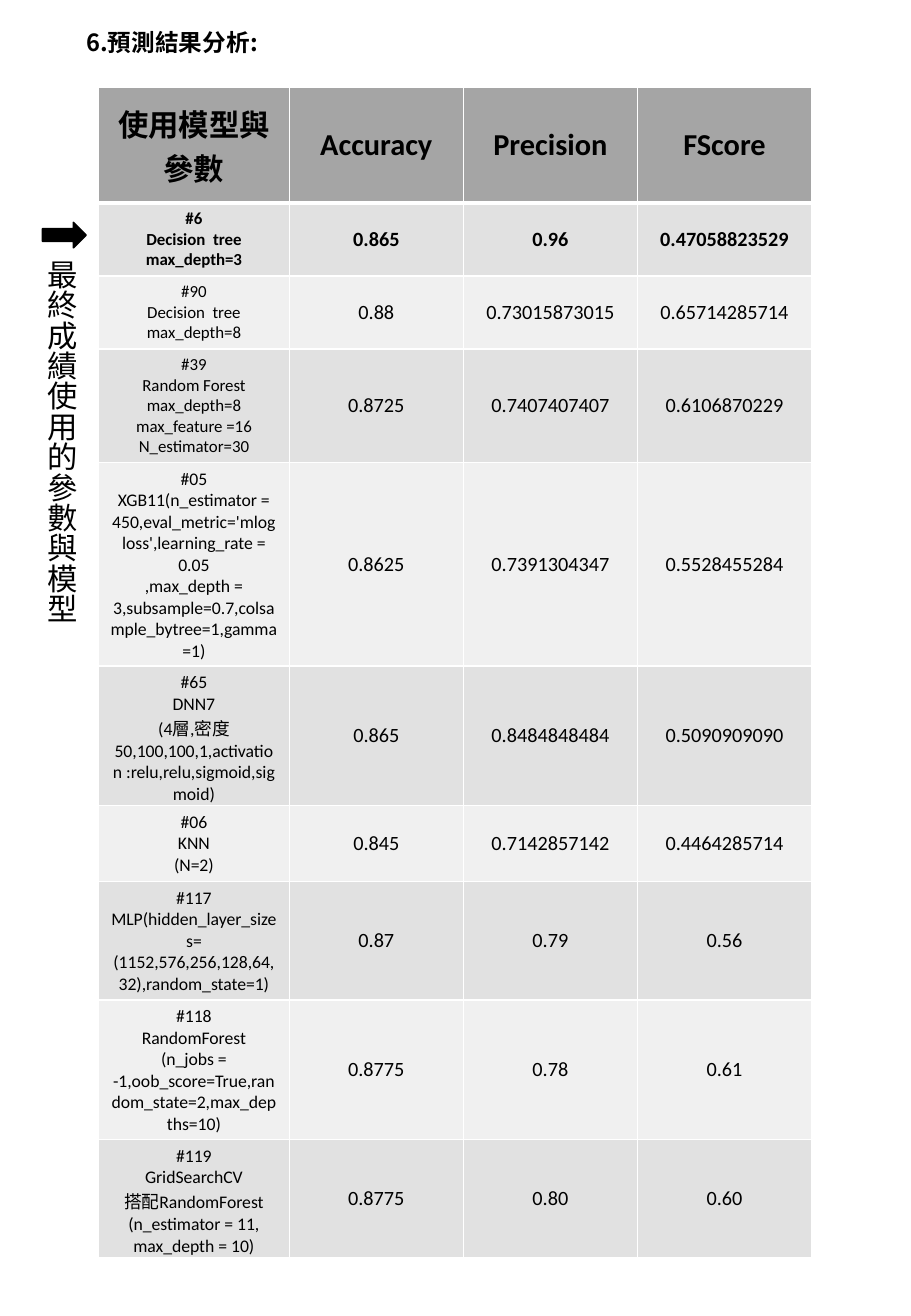
from lxml.etree import SubElement
from pptx import Presentation
from pptx.dml.color import RGBColor
from pptx.enum.shapes import MSO_SHAPE
from pptx.enum.text import MSO_ANCHOR, MSO_AUTO_SIZE, PP_ALIGN
from pptx.oxml.ns import qn
from pptx.util import Cm, Pt

BLACK = RGBColor(0x00, 0x00, 0x00)
WHITE = RGBColor(0xFF, 0xFF, 0xFF)
HEADER_GRAY = RGBColor(0xA5, 0xA5, 0xA5)
BAND_GRAYS = (RGBColor(0xE1, 0xE1, 0xE1), RGBColor(0xF0, 0xF0, 0xF0))

LATIN_FONT = "Calibri"
CHINESE_FONT = "Noto Sans CJK SC"

COLUMN_WIDTHS = (3.99, 3.64, 3.64, 3.64)
HEADER_HEIGHT, ROW_HEIGHT = 2.41, 1.5
HEADERS = ("使用模型與參數", "Accuracy", "Precision", "FScore")

# Model lines, size of the model text, then accuracy, precision and F-score
RESULTS = (
    (("#6", "Decision  tree", "max_depth=3"), 10,
     "0.865", "0.96", "0.47058823529"),
    (("#90", "Decision  tree", "max_depth=8"), 10,
     "0.88", "0.73015873015", "0.65714285714"),
    (("#39", "Random Forest", "max_depth=8", "max_feature =16", "N_estimator=30"), 10,
     "0.8725", "0.7407407407", "0.6106870229"),
    (("#05", "XGB11(n_estimator = 450,eval_metric='mlogloss',learning_rate = 0.05",
      ",max_depth = 3,subsample=0.7,colsample_bytree=1,gamma=1)"), 10.5,
     "0.8625", "0.7391304347", "0.5528455284"),
    (("#65", "DNN7",
      "(4層,密度50,100,100,1,activation :relu,relu,sigmoid,sigmoid)"), 10.5,
     "0.865", "0.8484848484", "0.5090909090"),
    (("#06", "KNN", "(N=2)"), 10.5,
     "0.845", "0.7142857142", "0.4464285714"),
    (("#117", "MLP(hidden_layer_sizes= (1152,576,256,128,64,32),random_state=1)"), 10.5,
     "0.87", "0.79", "0.56"),
    (("#118", "RandomForest",
      "(n_jobs = -1,oob_score=True,random_state=2,max_depths=10)"), 10.5,
     "0.8775", "0.78", "0.61"),
    (("#119", "GridSearchCV", ("搭配", "RandomForest"),
      "(n_estimator = 11, max_depth = 10)"), 10.5,
     "0.8775", "0.80", "0.60"),
)


def add_text_run(paragraph, text, size, bold=False):
    """Add a black run, in the Chinese font if it starts or ends in Chinese."""
    chinese = any("\u4e00" <= letter <= "\u9fff" for letter in text) and text[0] != "("
    run = paragraph.add_run()
    run.text = text
    run.font.size = Pt(size)
    run.font.bold = bold
    run.font.color.rgb = BLACK
    run.font.name = CHINESE_FONT if chinese else LATIN_FONT
    east_asian = SubElement(run.font._element, qn("a:ea"))
    east_asian.set("typeface", CHINESE_FONT)


def set_borders(cell, bottom_width):
    properties = cell._tc.get_or_add_tcPr()
    for side, width in (("L", 1), ("R", 1), ("T", 1), ("B", bottom_width)):
        line = SubElement(properties, qn(f"a:ln{side}"), w=str(Pt(width)))
        fill = SubElement(line, qn("a:solidFill"))
        SubElement(fill, qn("a:srgbClr"), val=str(WHITE))


def fill_cell(cell, lines, size, color, bold=False, bottom_width=1):
    """Write one paragraph a line; a line given as a tuple has several runs."""
    set_borders(cell, bottom_width)
    cell.fill.solid()
    cell.fill.fore_color.rgb = color
    cell.vertical_anchor = MSO_ANCHOR.MIDDLE
    for index, line in enumerate(lines):
        frame = cell.text_frame
        paragraph = frame.add_paragraph() if index else frame.paragraphs[0]
        paragraph.alignment = PP_ALIGN.CENTER
        for text in (line,) if isinstance(line, str) else line:
            add_text_run(paragraph, text, size, bold)


def add_title(slide, left, top, width, height):
    title = slide.shapes.title
    title.left, title.top, title.width, title.height = left, top, width, height
    frame = title.text_frame
    frame.word_wrap = True
    frame.auto_size = MSO_AUTO_SIZE.SHAPE_TO_FIT_TEXT
    frame.vertical_anchor = MSO_ANCHOR.TOP
    frame.paragraphs[0].alignment = PP_ALIGN.LEFT
    add_text_run(frame.paragraphs[0], "6.預測結果分析:", 14, bold=True)


def add_results_table(slide, left, top, width, height):
    graphic_frame = slide.shapes.add_table(
        len(RESULTS) + 1, len(HEADERS), left, top, width, height)
    table = graphic_frame.table
    for column, column_width in zip(table.columns, COLUMN_WIDTHS):
        column.width = Cm(column_width)
    for index, row in enumerate(table.rows):
        row.height = Cm(ROW_HEIGHT if index else HEADER_HEIGHT)
    graphic_frame.height = height

    for column, header in enumerate(HEADERS):
        fill_cell(table.cell(0, column), [header], 18, HEADER_GRAY,
                  bold=True, bottom_width=3)
    for index, (model, model_size, *scores) in enumerate(RESULTS):
        color = BAND_GRAYS[index % 2]
        chosen = index == 0
        fill_cell(table.cell(index + 1, 0), model, model_size, color, chosen)
        for column, score in enumerate(scores, start=1):
            fill_cell(table.cell(index + 1, column), [score], 12, color, chosen)


def add_final_model_marker(slide, left, top, width, height):
    """Place an arrow at the chosen row, with a vertical label below it."""
    arrow_left, arrow_height = Cm(0.36), Cm(0.53)
    arrow = slide.shapes.add_shape(
        MSO_SHAPE.RIGHT_ARROW, left + arrow_left, top, width - arrow_left, arrow_height)
    arrow.shadow.inherit = False
    arrow.fill.solid()
    arrow.fill.fore_color.rgb = BLACK
    arrow.line.color.rgb = BLACK
    arrow.line.width = Pt(1)

    label = slide.shapes.add_textbox(
        left, top + arrow_height, width, height - arrow_height)
    frame = label.text_frame
    frame.word_wrap = True
    frame.auto_size = MSO_AUTO_SIZE.SHAPE_TO_FIT_TEXT
    frame._txBody.bodyPr.set("vert", "eaVert")
    add_text_run(frame.paragraphs[0], "最終成績使用的參數與模型", 18)


def main():
    presentation = Presentation()
    presentation.slide_width = Cm(19.05)
    presentation.slide_height = Cm(27.51)
    slide = presentation.slides.add_slide(presentation.slide_layouts[5])
    add_results_table(slide, Cm(2.06), Cm(1.83), Cm(14.91), Cm(24.46))
    add_title(slide, Cm(1.55), Cm(0.46), Cm(15.95), Cm(0.86))
    add_final_model_marker(slide, Cm(0.53), Cm(4.65), Cm(1.27), Cm(8.81))
    presentation.save("out.pptx")


if __name__ == "__main__":
    main()
